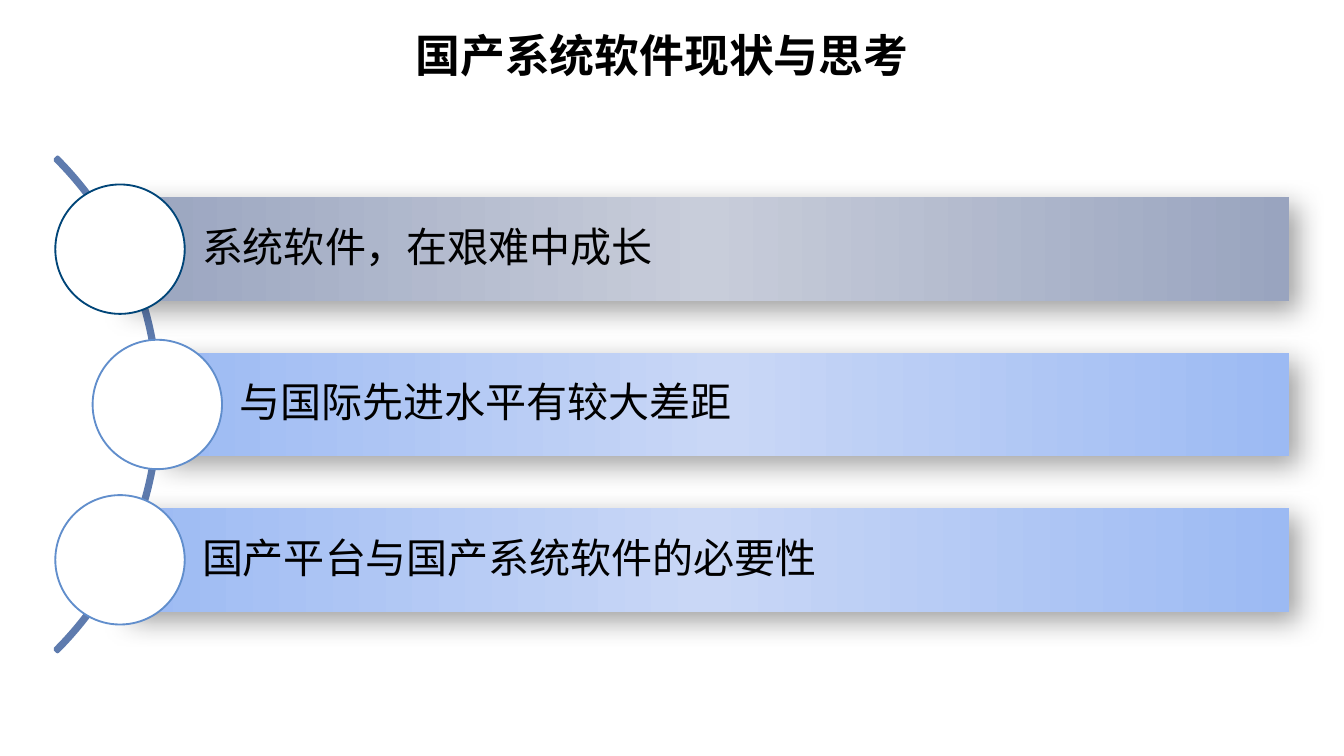
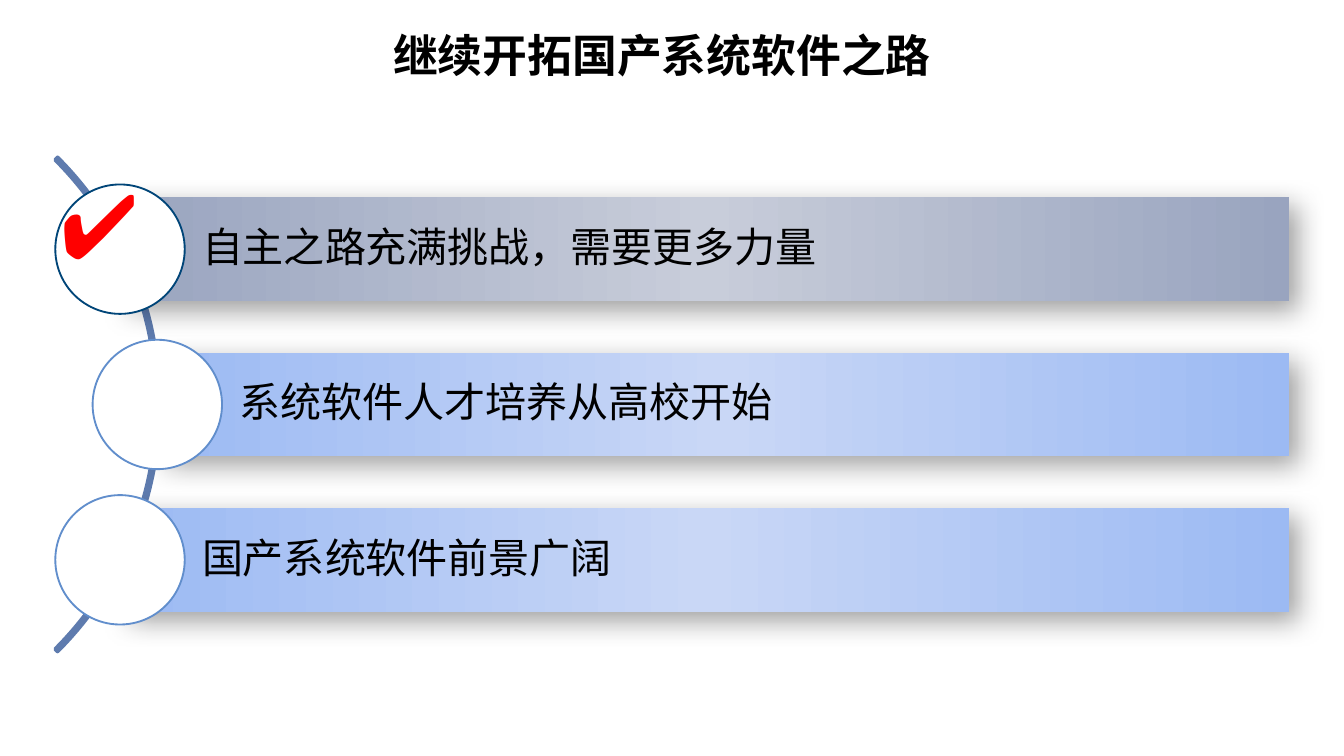
from copy import deepcopy

from lxml import etree
from pptx import Presentation
from pptx import util as u
from pptx.dml.color import RGBColor
from pptx.enum import shapes, text
from pptx.oxml.ns import qn

BLACK = RGBColor(0x00, 0x00, 0x00)
WHITE = RGBColor(0xFF, 0xFF, 0xFF)
RED = RGBColor(0xFF, 0x00, 0x00)
ARC = RGBColor(0x5E, 0x7B, 0xAE)
GREY_EDGE = RGBColor(0x99, 0xA4, 0xBF)
GREY_MID = RGBColor(0xC8, 0xCD, 0xDA)
GREY_RING = RGBColor(0x00, 0x45, 0x78)
BLUE_EDGE = RGBColor(0x9C, 0xBA, 0xF3)
BLUE_MID = RGBColor(0xC9, 0xD7, 0xF6)
BLUE_RING = RGBColor(0x61, 0x8E, 0xCC)

GREY = (GREY_EDGE, GREY_MID, GREY_RING)
BLUE = (BLUE_EDGE, BLUE_MID, BLUE_RING)
FONT = "Noto Sans CJK SC"
WIDTH = u.Inches(10)
HEIGHT = WIDTH * 9 // 16
DIAGRAM = (u.Inches(0.41), u.Inches(0.41), u.Inches(9.18), u.Inches(5.2))
ROWS = 27

SLIDES = [
    ("国产系统软件现状与思考",
     ["系统软件，在艰难中成长", "与国际先进水平有较大差距", "国产平台与国产系统软件的必要性"],
     False),
    ("继续开拓国产系统软件之路",
     ["自主之路充满挑战，需要更多力量", "系统软件人才培养从高校开始", "国产系统软件前景广阔"],
     True),
]


def add_run(p, words, size, color, font=FONT, bold=False):
    """Add one formatted run to a paragraph."""
    r = p.add_run()
    r.text = words
    r.font.size = u.Pt(size)
    r.font.bold = bold
    r.font.color.rgb = color
    r.font.name = font
    etree.SubElement(r.font._element, qn("a:ea"), typeface=font)


def add_shape(group, kind, box, fill=None, line=None, width=1):
    """Add a preset shape without shadow, with an optional fill and line."""
    sp = group.shapes.add_shape(kind, *map(int, box))
    sp.shadow.inherit = False
    if fill is not None:
        sp.fill.solid()
        sp.fill.fore_color.rgb = fill
    if line is None:
        sp.line.fill.background()
    else:
        sp.line.color.rgb = line
        sp.line.width = u.Pt(width)
    return sp


def fill_gradient(sp, edge, middle):
    """Fill a shape from edge to middle colour and back, left to right."""
    sp.fill.gradient()
    sp.fill.gradient_angle = 0
    stops = sp.fill.gradient_stops
    for stop, color, position in zip(stops, (edge, middle), (0, 0.5)):
        stop.color.rgb = color
        stop.position = position
    stop_list = sp._element.spPr.find(".//" + qn("a:gsLst"))
    last = deepcopy(stop_list[0])
    last.set("pos", "100000")
    stop_list.append(last)


def add_shadow(sp):
    """Give a shape a soft shadow towards the lower right."""
    effects = sp._element.spPr.find(qn("a:effectLst"))
    shadow = etree.SubElement(
        effects, qn("a:outerShdw"), blurRad=str(u.Pt(15)), dist=str(u.Pt(6.2)),
        dir="2700000", algn="tl", rotWithShape="0")
    color = etree.SubElement(shadow, qn("a:srgbClr"), val=str(BLACK))
    etree.SubElement(color, qn("a:alpha"), val="36000")


def add_label(group, box, words):
    """Place the words of a bar, vertically centred."""
    tf = group.shapes.add_textbox(*map(int, box)).text_frame
    tf.word_wrap = True
    tf.vertical_anchor = text.MSO_ANCHOR.MIDDLE
    tf.margin_left = u.Inches(0.61)
    tf.margin_top = tf.margin_right = tf.margin_bottom = u.Inches(0.06)
    p = tf.paragraphs[0]
    p.line_spacing = 0.9
    p.space_after = u.Pt(7.7)
    add_run(p, words, 22, BLACK)


def add_bar(group, box, words, colors, unit):
    """Place a gradient bar with its words and the circle at its left end."""
    x, y, w, h = box
    edge, middle, ring = colors
    sp = add_shape(group, shapes.MSO_SHAPE.RECTANGLE, box)
    fill_gradient(sp, edge, middle)
    add_shadow(sp)
    add_label(group, box, words)
    size = 5 * unit
    add_shape(group, shapes.MSO_SHAPE.OVAL,
              (x - size / 2, y + (h - size) / 2, size, size), WHITE, ring)


def add_diagram(s, box, items):
    """Place the arc and the bars that hang on it, on a grid of rows."""
    x, y, w, h = box
    unit = h / ROWS
    group = s.shapes.add_group_shape()
    arc = add_shape(group, shapes.MSO_SHAPE.BLOCK_ARC,
                    (x - 22.95 * unit, y, h, h), ARC, ARC, 2)
    for i, value in enumerate((189, 27, 0.005)):
        arc.adjustments[i] = value
    for i, words in enumerate(items):
        left = (3.95 if i == 1 else 2.51) * unit
        top = (5.5 + 6 * i) * unit
        add_bar(group, (x + left, y + top, w - left, 4 * unit), words,
                BLUE if i else GREY, unit)


def add_title(s, words):
    """Place the centred bold title."""
    sp = s.shapes.title
    sp.left, sp.top = u.Inches(0.43), u.Inches(0.06)
    sp.width, sp.height = u.Inches(8.99), u.Inches(0.69)
    tf = sp.text_frame
    tf.vertical_anchor = text.MSO_ANCHOR.MIDDLE
    p = tf.paragraphs[0]
    p.alignment = text.PP_ALIGN.CENTER
    add_run(p, words, 24, BLACK, bold=True)


def add_check(s, box):
    """Place the red check mark over the first circle."""
    x, y = box[:2]
    sp = s.shapes.add_textbox(x - u.Inches(0.06), y + u.Inches(0.8),
                              u.Inches(0.94), u.Inches(0.91))
    tf = sp.text_frame
    tf.word_wrap = True
    tf.auto_size = text.MSO_AUTO_SIZE.SHAPE_TO_FIT_TEXT
    add_run(tf.paragraphs[0], "✔", 48, RED, "Arial")


def add_slide(prs, title, items, checked):
    """Build one slide with a title and the bar diagram."""
    s = prs.slides.add_slide(prs.slide_layouts[5])
    add_diagram(s, DIAGRAM, items)
    add_title(s, title)
    if checked:
        add_check(s, DIAGRAM)


def main():
    """Build and save the deck."""
    prs = Presentation()
    prs.slide_width, prs.slide_height = WIDTH, HEIGHT
    for title, items, checked in SLIDES:
        add_slide(prs, title, items, checked)
    prs.save("out.pptx")


if __name__ == "__main__":
    main()
